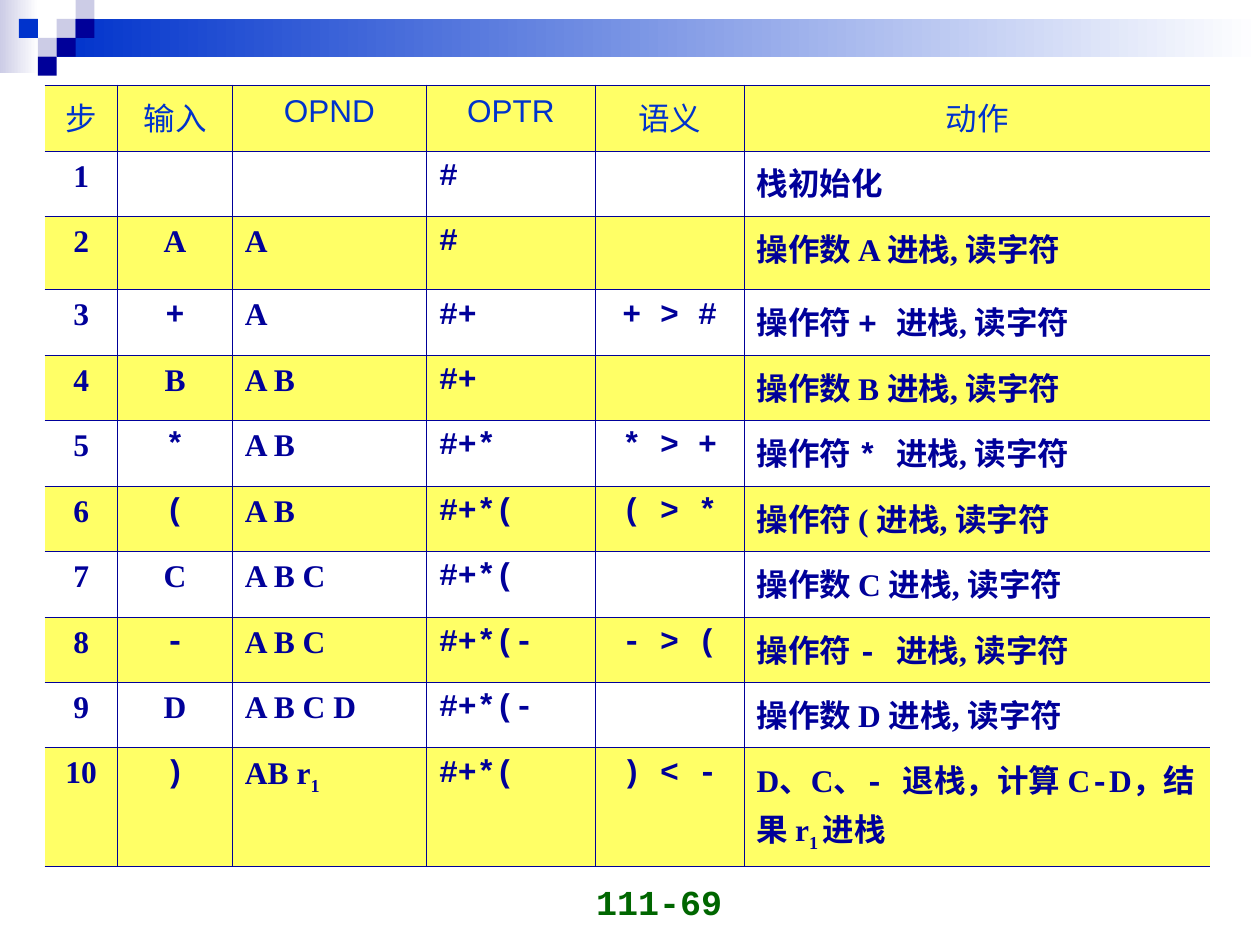
from dataclasses import dataclass

from lxml.etree import SubElement
from pptx import Presentation
from pptx.dml.color import RGBColor
from pptx.enum.shapes import MSO_SHAPE as Shape
from pptx.enum.text import MSO_ANCHOR as Anchor, PP_ALIGN as Align
from pptx.oxml.ns import qn
from pptx.util import Pt

COLORS = {
    "navy": "000099",
    "blue": "0033CC",
    "lavender": "CCCCE6",
    "white": "FFFFFF",
    "yellow": "FFFF66",
    "green": "006600",
}
SANS, SERIF, MONO = "Arial", "Times New Roman", "Courier New"


@dataclass
class Piece:
    """Part of a cell's text with its own font or subscript."""
    text: str
    font: str = SERIF
    subscript: bool = False


def color(name):
    return RGBColor.from_string(COLORS[name])


class SlideBuilder:
    def __init__(self, slide, size=18, border=0.45, top_border=1.08):
        self.slide = slide
        self.size = size
        self.border = border
        self.top_border = top_border

    def rectangle(self, left, top, width, height, *fill_names):
        """One fill name gives a solid fill, two give a left-to-right gradient."""
        shape = self.slide.shapes.add_shape(
            Shape.RECTANGLE, Pt(left), Pt(top), Pt(width), Pt(height))
        shape.shadow.inherit = False
        shape.line.fill.background()
        if len(fill_names) == 1:
            shape.fill.solid()
            shape.fill.fore_color.rgb = color(fill_names[0])
            return
        shape.fill.gradient()
        shape.fill.gradient_angle = 0
        for position, (stop, name) in enumerate(
                zip(shape.fill.gradient_stops, fill_names)):
            stop.position = position
            stop.color.rgb = color(name)

    def style_font(self, font, name, color_name, size, bold):
        font.name = name
        font.size = Pt(size)
        font.bold = bold
        font.color.rgb = color(color_name)

    def page_number(self, text, left, top, width, height):
        box = self.slide.shapes.add_textbox(
            Pt(left), Pt(top), Pt(width), Pt(height))
        frame = box.text_frame
        frame.word_wrap = True
        frame.vertical_anchor = Anchor.BOTTOM
        paragraph = frame.paragraphs[0]
        paragraph.text = text
        paragraph.alignment = Align.RIGHT
        self.style_font(paragraph.font, MONO, "green", 20, True)

    def cell_text(self, cell, content, centered, is_header):
        pieces = content if isinstance(content, list) else [content]
        paragraph = cell.text_frame.paragraphs[0]
        paragraph.alignment = Align.CENTER if centered else Align.LEFT
        paragraph.line_spacing = 1.05
        self.style_font(paragraph.font, pieces[0].font,
                        "blue" if is_header else "navy", self.size, not is_header)
        for piece in pieces:
            run = paragraph.add_run()
            run.text = piece.text
            if len({each.font for each in pieces}) > 1:
                run.font.name = piece.font
            if piece.subscript:
                run.font._element.set("baseline", "-25000")

    def cell_borders(self, cell, widths):
        """Widths are for left, right, top and bottom; 0 hides that side."""
        properties = cell._tc.get_or_add_tcPr()
        for index, (side, width) in enumerate(zip("LRTB", widths)):
            line = SubElement(properties, qn(f"a:ln{side}"), w=str(Pt(width)))
            properties.remove(line)
            properties.insert(index, line)
            if width:
                fill = SubElement(line, qn("a:solidFill"))
                SubElement(fill, qn("a:srgbClr"), val=COLORS["navy"])
            else:
                SubElement(line, qn("a:noFill"))

    def table(self, left, top, widths, heights, rows, centered_columns):
        table = self.slide.shapes.add_table(
            len(heights), len(widths), Pt(left), Pt(top),
            Pt(sum(widths)), Pt(sum(heights))).table
        table.first_row = table.horz_banding = False
        for column, width in zip(table.columns, widths):
            column.width = Pt(width)
        for row, height in zip(table.rows, heights):
            row.height = Pt(height)
        last = len(widths) - 1
        for row_index, row in enumerate(rows):
            is_header = row_index == 0
            for column_index, content in enumerate(row):
                cell = table.cell(row_index, column_index)
                if row_index % 2 == 0:
                    cell.fill.solid()
                    cell.fill.fore_color.rgb = color("yellow")
                else:
                    cell.fill.background()
                self.cell_borders(cell, (
                    self.border if column_index > 0 else 0,
                    self.border if column_index < last else 0,
                    self.top_border if is_header else self.border,
                    self.border))
                if content:
                    self.cell_text(cell, content,
                                   is_header or column_index in centered_columns,
                                   is_header)


def push_operand(name):
    return Piece(f"操作数 {name} 进栈, 读字符")


def push_operator(symbol):
    return [Piece("操作符 "), Piece(f"{symbol} ", MONO), Piece("进栈, 读字符")]


HEADERS = ["步", "输入", "OPND", "OPTR", "语义", "动作"]
# input, operand stack, operator stack, precedence, action
STEPS = [
    ("", "", "#", "", Piece("栈初始化")),
    ("A", "A", "#", "", push_operand("A")),
    ("+", "A", "#+", "+ > #", push_operator("+")),
    ("B", "A B", "#+", "", push_operand("B")),
    ("*", "A B", "#+*", "* > +", push_operator("*")),
    ("(", "A B", "#+*(", "( > *", Piece("操作符 ( 进栈, 读字符")),
    ("C", "A B C", "#+*(", "", push_operand("C")),
    ("-", "A B C", "#+*(-", "- > (", push_operator("-")),
    ("D", "A B C D", "#+*(-", "", push_operand("D")),
    (")", [Piece("AB r"), Piece("1", subscript=True)], "#+*(", ") < -",
     [Piece("D、C、"), Piece("- ", MONO), Piece("退栈，计算 C"), Piece("-", MONO),
      Piece("D，结果 r"), Piece("1 ", subscript=True), Piece("进栈")]),
]


def step_row(number, step):
    symbol, operands, operators, precedence, action = step
    return [
        Piece(str(number)),
        symbol and Piece(symbol, SERIF if symbol.isalpha() else MONO),
        Piece(operands) if operands and isinstance(operands, str) else operands,
        Piece(operators, MONO),
        precedence and Piece(precedence, MONO),
        action,
    ]


def main():
    presentation = Presentation()
    presentation.slide_width, presentation.slide_height = Pt(720), Pt(540)
    builder = SlideBuilder(
        presentation.slides.add_slide(presentation.slide_layouts[6]))

    builder.rectangle(0, 0, 22, 41.8, "lavender", "white")
    builder.rectangle(32.4, 10.8, 687.6, 21.6, "blue", "white")
    square = 10.8
    for column, row, name in [
            (3, 1, "lavender"), (4, 0, "lavender"), (4, 1, "navy"),
            (2, 2, "lavender"), (1, 1, "blue"), (3, 2, "navy"), (2, 3, "navy")]:
        builder.rectangle(column * square, row * square, square, square, name)

    builder.page_number("111-69", 252, 494.6, 167.8, 36)
    rows = [[Piece(header, SANS) for header in HEADERS]]
    rows += [step_row(number, step) for number, step in enumerate(STEPS, 1)]
    builder.table(
        25.5, 48.8, [41.8, 65.5, 110.9, 96.5, 85, 266.4],
        [37.4, 37.4, 42] + [37.4] * 7 + [67.5], rows, centered_columns={0, 1, 4})
    presentation.save("out.pptx")


if __name__ == "__main__":
    main()
